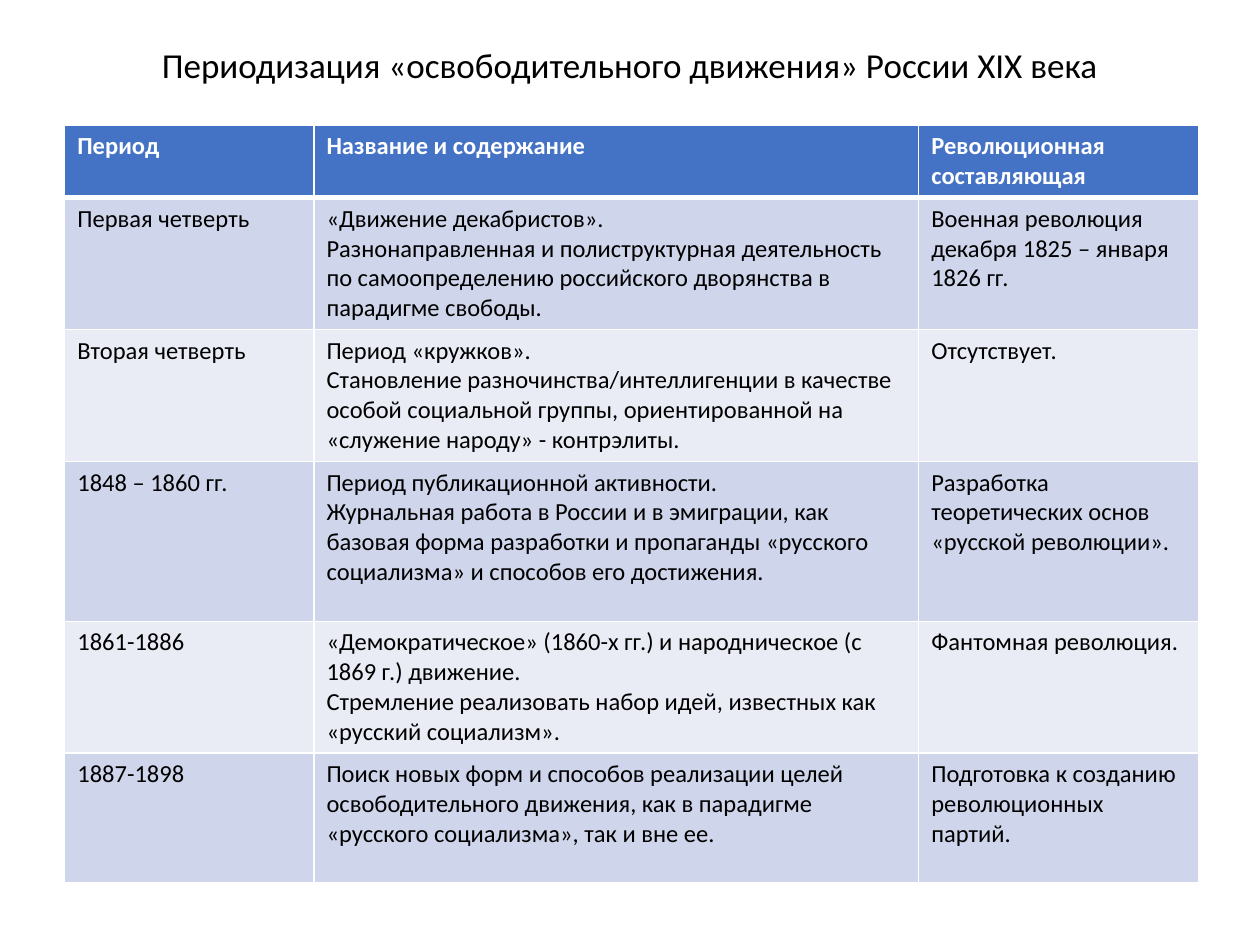
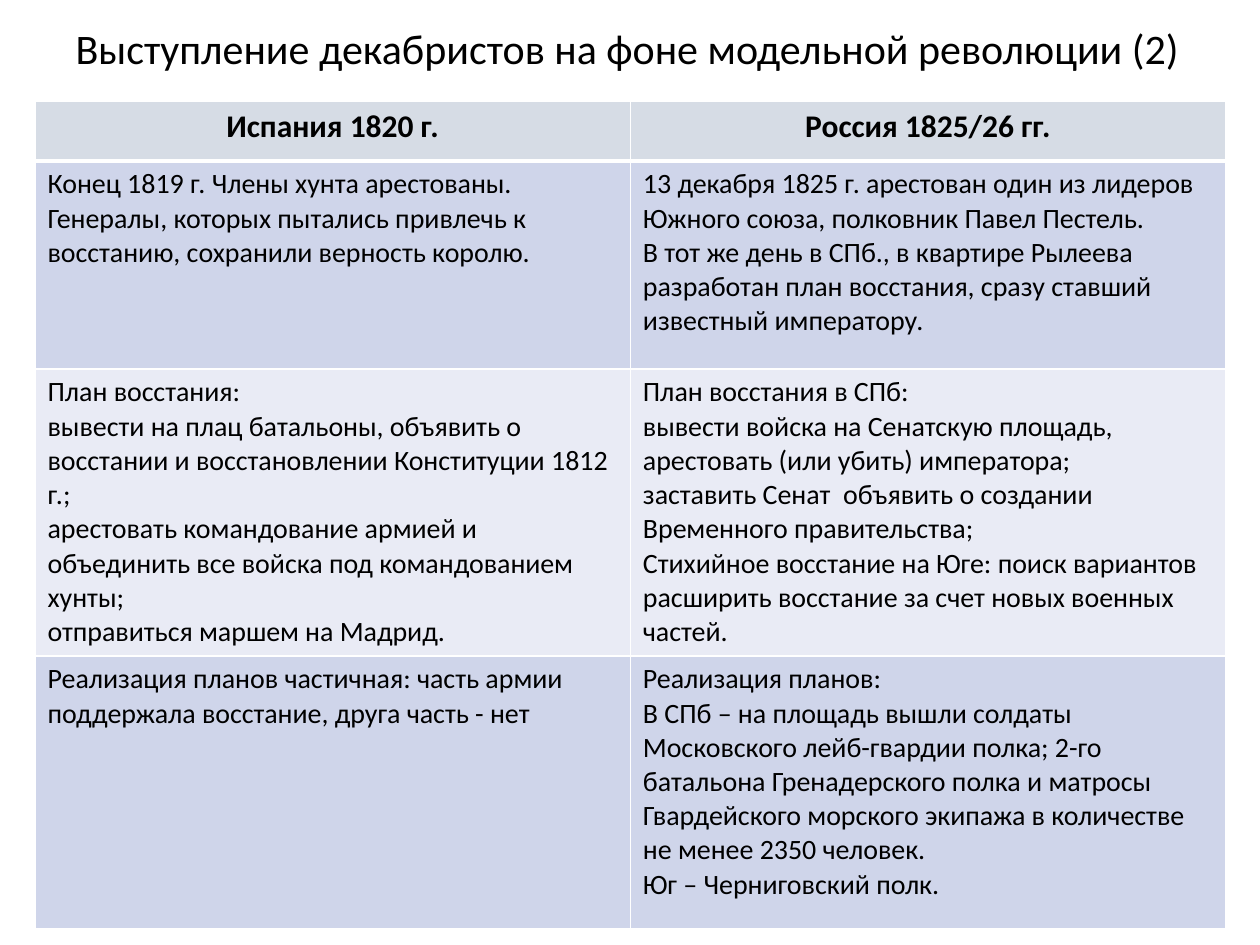
from dataclasses import dataclass

from lxml import etree
from pptx import Presentation
from pptx.dml.color import RGBColor
from pptx.enum.text import MSO_ANCHOR, MSO_AUTO_SIZE, PP_ALIGN
from pptx.oxml.ns import qn
from pptx.util import Pt

LEFT, CENTER = PP_ALIGN.LEFT, PP_ALIGN.CENTER
MIDDLE, FIXED = MSO_ANCHOR.MIDDLE, MSO_AUTO_SIZE.NONE
TITLE_ONLY = 5


# Colours and type sizes
@dataclass(frozen=True)
class Theme:
    font: str = "Calibri"
    black: str = "000000"
    white: str = "FFFFFF"
    blue: str = "4472C4"
    grey: str = "D6DCE5"
    bands: tuple = ("CFD5EA", "E9EBF5")
    small: int = 14
    body: int = 16
    head: int = 18
    title: int = 20
    large: int = 24
    thin: int = 1
    thick: int = 3


THEME = Theme()

# Table texts: a cell holds one paragraph per line
PERIODS = [
    ["Период", "Название и содержание", "Революционная составляющая"],
    ["Первая четверть",
     "«Движение декабристов».\n"
     "Разнонаправленная и полиструктурная деятельность по самоопределению "
     "российского дворянства в парадигме свободы.",
     "Военная революция декабря 1825 – января 1826 гг."],
    ["Вторая четверть",
     "Период «кружков».\n"
     "Становление разночинства/интеллигенции в качестве особой социальной "
     "группы, ориентированной на «служение народу» - контрэлиты.",
     "Отсутствует."],
    ["1848 – 1860 гг.",
     "Период публикационной активности.\n"
     "Журнальная работа в России и в эмиграции, как базовая форма разработки "
     "и пропаганды «русского социализма» и способов его достижения.",
     "Разработка теоретических основ «русской революции»."],
    ["1861-1886",
     "«Демократическое» (1860-х гг.) и народническое (с 1869 г.) движение.\n"
     "Стремление реализовать набор идей, известных как «русский социализм».",
     "Фантомная революция."],
    ["1887-1898",
     "Поиск новых форм и способов реализации целей освободительного движения, "
     "как в парадигме «русского социализма», так и вне ее.",
     "Подготовка к созданию революционных партий."],
]

REVOLTS = [
    ["Испания 1820 г.", "Россия 1825/26 гг."],
    ["Конец 1819 г. Члены хунта арестованы. Генералы, которых пытались "
     "привлечь к восстанию, сохранили верность королю.",
     "13 декабря 1825 г. арестован один из лидеров Южного союза, полковник "
     "Павел Пестель.\n"
     "В тот же день в СПб., в квартире Рылеева разработан план восстания, "
     "сразу ставший известный императору."],
    ["План восстания:\n"
     "вывести на плац батальоны, объявить о восстании и восстановлении "
     "Конституции 1812 г.;\n"
     "арестовать командование армией и объединить все войска под "
     "командованием хунты;\n"
     "отправиться маршем на Мадрид.",
     "План восстания в СПб:\n"
     "вывести войска на Сенатскую площадь,\n"
     "арестовать (или убить) императора;\n"
     "заставить Сенат  объявить о создании Временного правительства;\n"
     "Стихийное восстание на Юге: поиск вариантов расширить восстание за счет "
     "новых военных частей."],
    ["Реализация планов частичная: часть армии поддержала восстание, друга "
     "часть - нет",
     "Реализация планов:\n"
     "В СПб – на площадь вышли солдаты Московского лейб-гвардии полка; 2-го "
     "батальона Гренадерского полка и матросы Гвардейского морского экипажа "
     "в количестве не менее 2350 человек.\n"
     "Юг – Черниговский полк."],
]


def write(frame, text, *, size, color=THEME.black, bold=False, align=LEFT,
          spacing=None):
    """Fill a text frame, one paragraph per line."""
    frame.word_wrap = True
    for i, line in enumerate(text.split("\n")):
        para = frame.add_paragraph() if i else frame.paragraphs[0]
        para.alignment = align
        if spacing:
            para.line_spacing = spacing
        run = para.add_run()
        run.text = line
        font = run.font
        font.name, font.size, font.bold = THEME.font, Pt(size), bold
        font.color.rgb = RGBColor.from_string(color)


def add_title(deck, text, top, height, size, align):
    """Add a slide with its title and return the slide."""
    slide = deck.slides.add_slide(deck.slide_layouts[TITLE_ONLY])
    title = slide.shapes.title
    title.left, title.top = Pt(36), Pt(top)
    title.width, title.height = Pt(648), Pt(height)
    frame = title.text_frame
    frame.auto_size, frame.vertical_anchor = FIXED, MIDDLE
    write(frame, text, size=size, align=align, spacing=0.9)
    return slide


def add_edges(cell, row):
    """Draw white cell borders, thick under the header row."""
    props = cell._tc.get_or_add_tcPr()
    heavy = {(0, "lnB"), (1, "lnT")}
    for side in ("lnL", "lnR", "lnT", "lnB"):
        width = THEME.thick if (row, side) in heavy else THEME.thin
        edge = etree.SubElement(props, qn(f"a:{side}"), w=str(Pt(width)))
        fill = etree.SubElement(edge, qn("a:solidFill"))
        etree.SubElement(fill, qn("a:srgbClr"), val=THEME.white)


def add_grid(slide, data, left, top, widths, heights, *, fill, head, size):
    """Add a table with a header row over two alternating bands."""
    frame = slide.shapes.add_table(len(data), len(widths), Pt(left), Pt(top),
                                   Pt(sum(widths)), Pt(sum(heights)))
    table = frame.table
    for column, width in zip(table.columns, widths):
        column.width = Pt(width)
    for r, (texts, height) in enumerate(zip(data, heights)):
        table.rows[r].height = Pt(height)
        color = THEME.bands[(r - 1) % 2] if r else fill
        style = {"size": size} if r else head
        for c, text in enumerate(texts):
            cell = table.cell(r, c)
            add_edges(cell, r)
            cell.fill.solid()
            cell.fill.fore_color.rgb = RGBColor.from_string(color)
            write(cell.text_frame, text, **style)


def main():
    deck = Presentation()
    deck.slide_width, deck.slide_height = Pt(720), Pt(540)

    # Periods of the movement
    slide = add_title(
        deck, "Периодизация «освободительного движения» России XIX века",
        21.6, 33, THEME.title, CENTER)
    add_grid(slide, PERIODS, 37, 71.6, [142.4, 345.6, 160],
             [41, 74.2, 74.2, 91.4, 74.2, 74.2], fill=THEME.blue,
             head={"size": THEME.small, "color": THEME.white, "bold": True},
             size=THEME.small)

    # Spain and Russia compared
    slide = add_title(
        deck, "Выступление декабристов на фоне модельной революции (2)",
        9.4, 39.6, THEME.large, LEFT)
    add_grid(slide, REVOLTS, 20, 57.6, [340.2] * 2, [34.4, 118.8, 164, 156],
             fill=THEME.grey,
             head={"size": THEME.head, "bold": True, "align": CENTER},
             size=THEME.body)

    deck.save("out.pptx")


if __name__ == "__main__":
    main()
